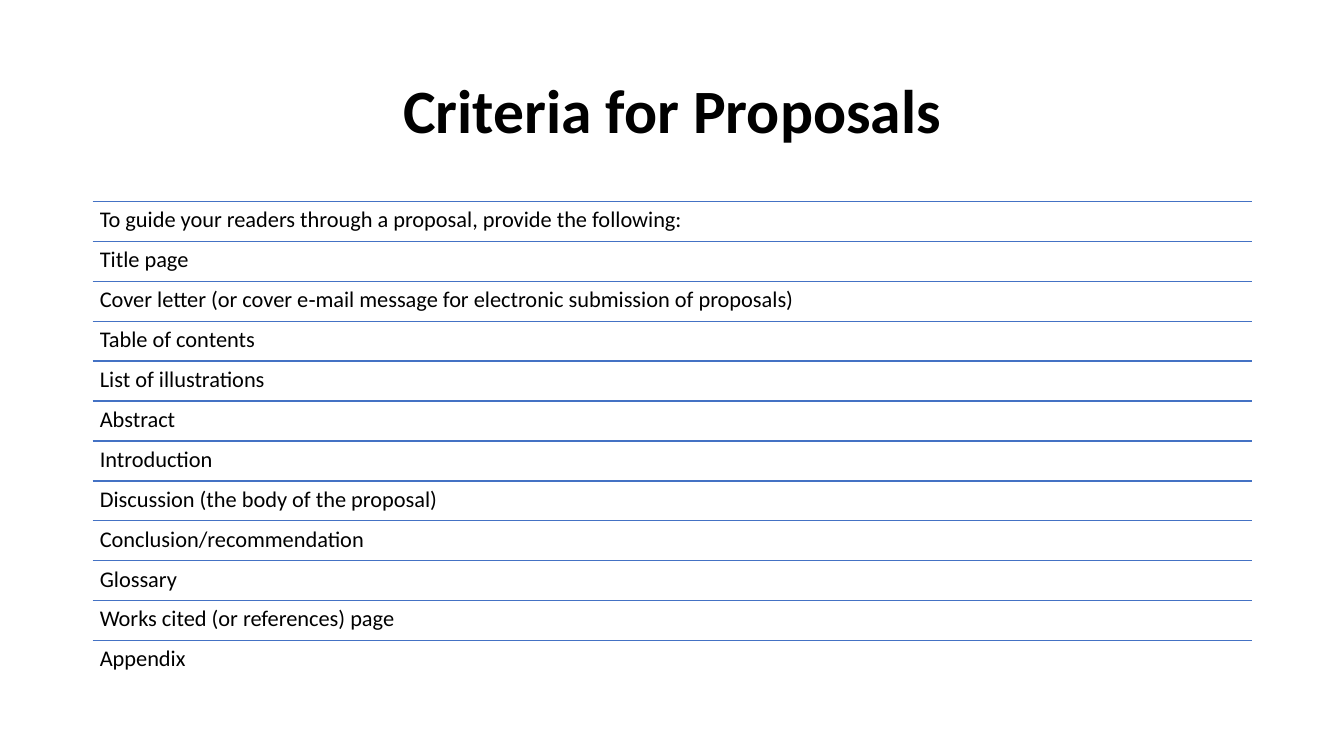
from pptx import Presentation
from pptx import util as u
from pptx.dml.color import RGBColor
from pptx.enum import shapes, text
from pptx.oxml.ns import qn
from lxml import etree

COLORS = {"ink": "000000", "rule": "4472C4", "paper": "FFFFFF"}
CRITERIA = [
    "To guide your readers through a proposal, provide the following:",
    "Title page",
    "Cover letter (or cover e‐mail message for electronic submission of proposals)",
    "Table of contents",
    "List of illustrations",
    "Abstract",
    "Introduction",
    "Discussion (the body of the proposal)",
    "Conclusion/recommendation",
    "Glossary",
    "Works cited (or references) page",
    "Appendix",
]
MARGINS = ("margin_left", "margin_top", "margin_right", "margin_bottom")
TITLE_FORMAT = {"size": u.Pt(44), "bold": True, "name": "Calibri"}
ROW_FORMAT = {"size": u.Pt(16), "bold": False, "name": "Calibri"}

presentation = Presentation()
presentation.slide_width = u.Inches(13.33)
presentation.slide_height = u.Inches(7.5)
slide = presentation.slides.add_slide(presentation.slide_layouts[6])
slide.background.fill.solid()
slide.background.fill.fore_color.rgb = RGBColor.from_string(COLORS["paper"])

left, width = u.Inches(0.92), u.Inches(11.5)
list_top = u.Inches(2)
row_height = u.Inches(4.75) // len(CRITERIA)


def add_text(words, top, height, font_format, frame_format):
    box = slide.shapes.add_textbox(left, top, width, height)
    frame = box.text_frame
    for name, value in frame_format.items():
        setattr(frame, name, value)
    paragraph = frame.paragraphs[0]
    paragraph.line_spacing = 0.9
    run = paragraph.add_run()
    run.text = words
    for name, value in font_format.items():
        setattr(run.font, name, value)
    run.font.color.rgb = RGBColor.from_string(COLORS["ink"])
    return paragraph


title = add_text("Criteria for Proposals", u.Inches(0.4), u.Inches(1.45), TITLE_FORMAT,
                 {"word_wrap": True, "vertical_anchor": text.MSO_ANCHOR.MIDDLE})
title.alignment = text.PP_ALIGN.CENTER

row_frame = {"word_wrap": True, "vertical_anchor": text.MSO_ANCHOR.TOP}
row_frame.update(dict.fromkeys(MARGINS, u.Inches(0.07)))

for row, criterion in enumerate(CRITERIA):
    top = list_top + row * row_height
    rule = slide.shapes.add_connector(
        shapes.MSO_CONNECTOR.STRAIGHT, left, top, left + width, top)
    rule.line.width = u.Pt(1)
    rule.line.color.rgb = RGBColor.from_string(COLORS["rule"])
    etree.SubElement(rule.line._get_or_add_ln().getparent(), qn("a:effectLst"))
    add_text(criterion, top, row_height, ROW_FORMAT, row_frame)

presentation.save("out.pptx")
